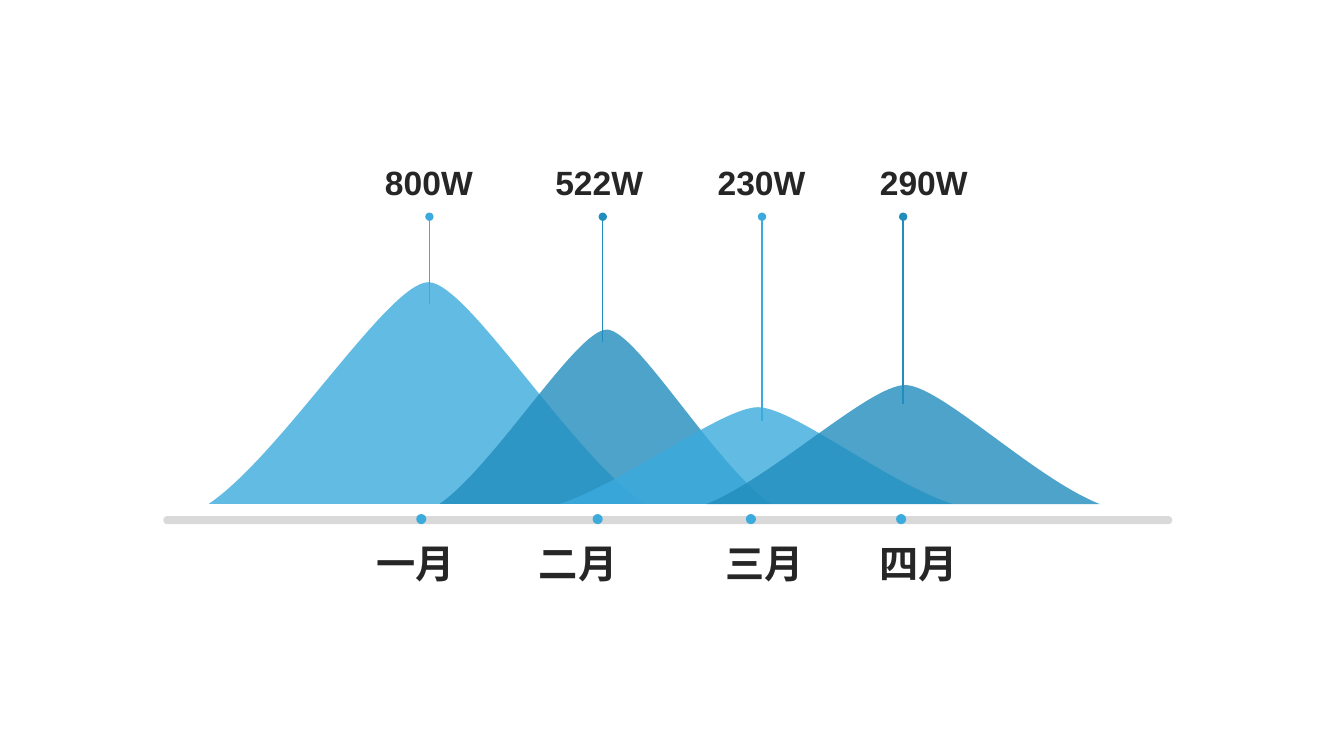
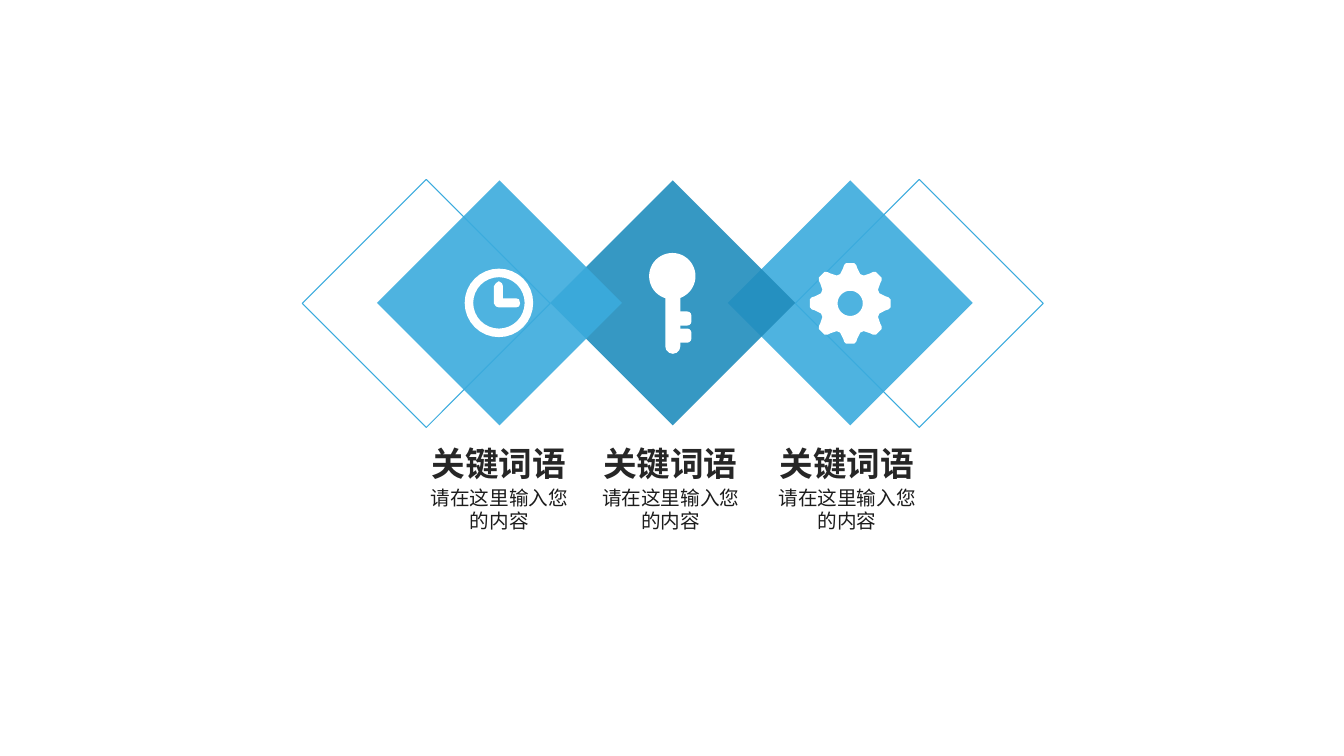
from dataclasses import dataclass
from math import cos, pi, sin

from lxml.etree import SubElement
from pptx import Presentation
from pptx.dml.color import RGBColor
from pptx.enum.lang import MSO_LANGUAGE_ID
from pptx.enum.shapes import MSO_CONNECTOR, MSO_SHAPE
from pptx.enum.text import MSO_AUTO_SIZE, PP_ALIGN
from pptx.oxml.ns import qn
from pptx.util import Pt

PX = 9144
FONT = "Arial"
SKY = "3BABDD"
DEEP = "218DBD"
INK = "262626"
BODY_INK = "1C1C1C"
RAIL = "D9D9D9"
WHITE = "FFFFFF"

BASELINE = 500
PIN_TOP = 215
DOT = 10
DIAMOND = 243
OUTLINE = 174
HALF_TOOTH = [(10, 29), (7, 35), (6, 38), (4, 40)]
CLOCK_HANDS = [
    (516, 301), (515, 304), (512, 305), (495, 305), (492, 304), (490, 301),
    (490, 284), (492, 281), (495, 279), (498, 281), (499, 284), (499, 296),
    (512, 296), (515, 297),
]


@dataclass
class Month:
    name: str
    name_left: int
    total: str
    total_left: int
    color: str
    foot_left: int
    peak: int
    foot_right: int
    top: int
    dot_left: int
    pin: int
    pin_bottom: int


MONTHS = [
    Month("一月", 363, "800W", 372, SKY, 207, 425, 640, 280, 413, 426, 302),
    Month("二月", 524, "522W", 541, DEEP, 436, 602, 765, 327, 588, 598, 339),
    Month("三月", 709, "230W", 702, SKY, 555, 752, 945, 404, 740, 756, 418),
    Month("四月", 862, "290W", 863, DEEP, 701, 898, 1091, 382, 889, 896, 401),
]


def px(*lengths):
    return [round(length * PX) for length in lengths]


def rgb(color):
    return RGBColor.from_string(color)


def paint(shape, color, opacity=100):
    shape.shadow.inherit = False
    shape.line.fill.background()
    shape.fill.solid()
    shape.fill.fore_color.rgb = rgb(color)
    if opacity < 100:
        tint = shape.fill._xPr.find(qn("a:solidFill"))[0]
        SubElement(tint, qn("a:alpha"), val=str(opacity * 1000))


def add_preset(parent, preset, box, color, opacity=100, adjustments=()):
    shape = parent.shapes.add_shape(preset, *px(*box))
    for index, value in enumerate(adjustments):
        shape.adjustments[index] = value
    paint(shape, color, opacity)


def add_outline(slide, left, top):
    square = slide.shapes.add_shape(
        MSO_SHAPE.RECTANGLE, *px(left, top, OUTLINE, OUTLINE)
    )
    square.rotation = 315
    square.shadow.inherit = False
    square.fill.background()
    square.line.color.rgb = rgb(SKY)
    square.line.width = Pt(0)


def add_freeform(slide, contours, color, opacity=100):
    first, *others = [[px(*point) for point in contour] for contour in contours]
    builder = slide.shapes.build_freeform(*first[0], scale=1.0)
    builder.add_line_segments(first[1:], close=True)
    for contour in others:
        builder.move_to(*contour[0])
        builder.add_line_segments(contour[1:], close=True)
    shape = builder.convert_to_shape()
    paint(shape, color, opacity)
    return shape


def bend_segments(shape):
    segments = list(shape._element.iter(qn("a:lnTo")))
    for start in range(0, len(segments) - 2, 3):
        curve, *tail = segments[start:start + 3]
        bezier = curve.getparent().makeelement(qn("a:cubicBezTo"))
        curve.addprevious(bezier)
        for segment in (curve, *tail):
            bezier.append(segment[0])
            segment.getparent().remove(segment)


def add_text(slide, box, text, size, color=INK, bold=True, wrap=False):
    frame = slide.shapes.add_textbox(*px(*box)).text_frame
    frame.word_wrap = wrap
    frame.auto_size = MSO_AUTO_SIZE.SHAPE_TO_FIT_TEXT
    paragraph = frame.paragraphs[0]
    paragraph.alignment = PP_ALIGN.CENTER
    run = paragraph.add_run()
    run.text = text
    run.font.name = FONT
    run.font.size = Pt(size)
    run.font.bold = bold
    run.font.color.rgb = rgb(color)
    run.font.language_id = MSO_LANGUAGE_ID.SIMPLIFIED_CHINESE


def add_pin(slide, x, bottom, color):
    pin = slide.shapes.add_connector(
        MSO_CONNECTOR.STRAIGHT, *px(x, PIN_TOP, x, bottom)
    )
    pin.line.color.rgb = rgb(color)
    pin.line.width = Pt(1)
    SubElement(pin.line._get_or_add_ln(), qn("a:headEnd"), type="oval")
    SubElement(pin._element.spPr, qn("a:effectLst"))


def add_mountain(slide, month):
    shoulder = BASELINE - 0.22 * (BASELINE - month.top)
    rise = month.peak - month.foot_left
    fall = month.foot_right - month.peak
    ridge = [
        (month.foot_left, BASELINE),
        (month.foot_left + 0.33 * rise, shoulder),
        (month.peak - 0.18 * rise, month.top),
        (month.peak, month.top),
        (month.peak + 0.18 * fall, month.top),
        (month.peak + 0.66 * fall, shoulder),
        (month.foot_right, BASELINE),
    ]
    bend_segments(add_freeform(slide, [ridge], month.color, 80))


def circle(center_x, center_y, radius, steps=32):
    turns = [2 * pi * step / steps for step in range(steps)]
    return [
        (center_x + radius * cos(turn), center_y + radius * sin(turn))
        for turn in turns
    ]


def add_clock(slide, center_x=495, center_y=300.5):
    rim = circle(center_x, center_y, 34)
    face = circle(center_x, center_y, 25.5)[::-1]
    add_freeform(slide, [rim, face, CLOCK_HANDS], WHITE)


def add_gear(slide, center_x=843.5, center_y=301, hole=12.5):
    tooth = [(-x, -y) for x, y in HALF_TOOTH]
    tooth += [(x, -y) for x, y in reversed(HALF_TOOTH)]
    rim = []
    for turn in range(8):
        c, s = cos(turn * pi / 4), sin(turn * pi / 4)
        rim += [(center_x + x * c - y * s, center_y + x * s + y * c) for x, y in tooth]
    add_freeform(slide, [rim, circle(center_x, center_y, hole)[::-1]], WHITE)


def add_key(slide):
    key = slide.shapes.add_group_shape()
    add_preset(key, MSO_SHAPE.OVAL, (644, 251, 46, 46), WHITE)
    add_preset(
        key, MSO_SHAPE.ROUND_2_SAME_RECTANGLE, (660, 293, 15, 58), WHITE,
        adjustments=[0, 0.5],
    )
    add_preset(key, MSO_SHAPE.OVAL, (654, 261, 26, 26), WHITE)
    for top in (326, 309):
        add_preset(
            key, MSO_SHAPE.ROUNDED_RECTANGLE, (666, top, 20, 14), WHITE,
            adjustments=[0.29],
        )


def build_months(slide):
    for month in MONTHS:
        add_mountain(slide, month)
    add_preset(
        slide, MSO_SHAPE.ROUNDED_RECTANGLE, (162, 512, 1001, 8), RAIL,
        adjustments=[0.5],
    )
    for month in MONTHS:
        add_preset(slide, MSO_SHAPE.OVAL, (month.dot_left, 510, DOT, DOT), SKY)
        add_text(slide, (month.name_left, 530, 99, 57), month.name, 28)
        add_pin(slide, month.pin, month.pin_bottom, month.color)
        add_text(slide, (month.total_left, 156, 107, 50), month.total, 24)


def build_keywords(slide):
    add_outline(slide, 825, 214)
    for left, color in ((722, SKY), (546, DEEP), (374, SKY)):
        add_preset(slide, MSO_SHAPE.DIAMOND, (left, 179, DIAMOND, DIAMOND), color, 90)
    add_outline(slide, 336, 214)
    for left in (418, 588, 763):
        add_text(slide, (left, 434, 154, 50), "关键词语", 24, wrap=True)
        add_text(
            slide, (left - 5, 477, 165, 57), "请在这里输入您的内容", 14,
            color=BODY_INK, bold=False, wrap=True,
        )
    add_clock(slide)
    add_gear(slide)
    add_key(slide)


def main():
    deck = Presentation()
    deck.slide_width, deck.slide_height = Pt(960), Pt(540)
    for build in (build_months, build_keywords):
        build(deck.slides.add_slide(deck.slide_layouts[6]))
    deck.save("out.pptx")


if __name__ == "__main__":
    main()
